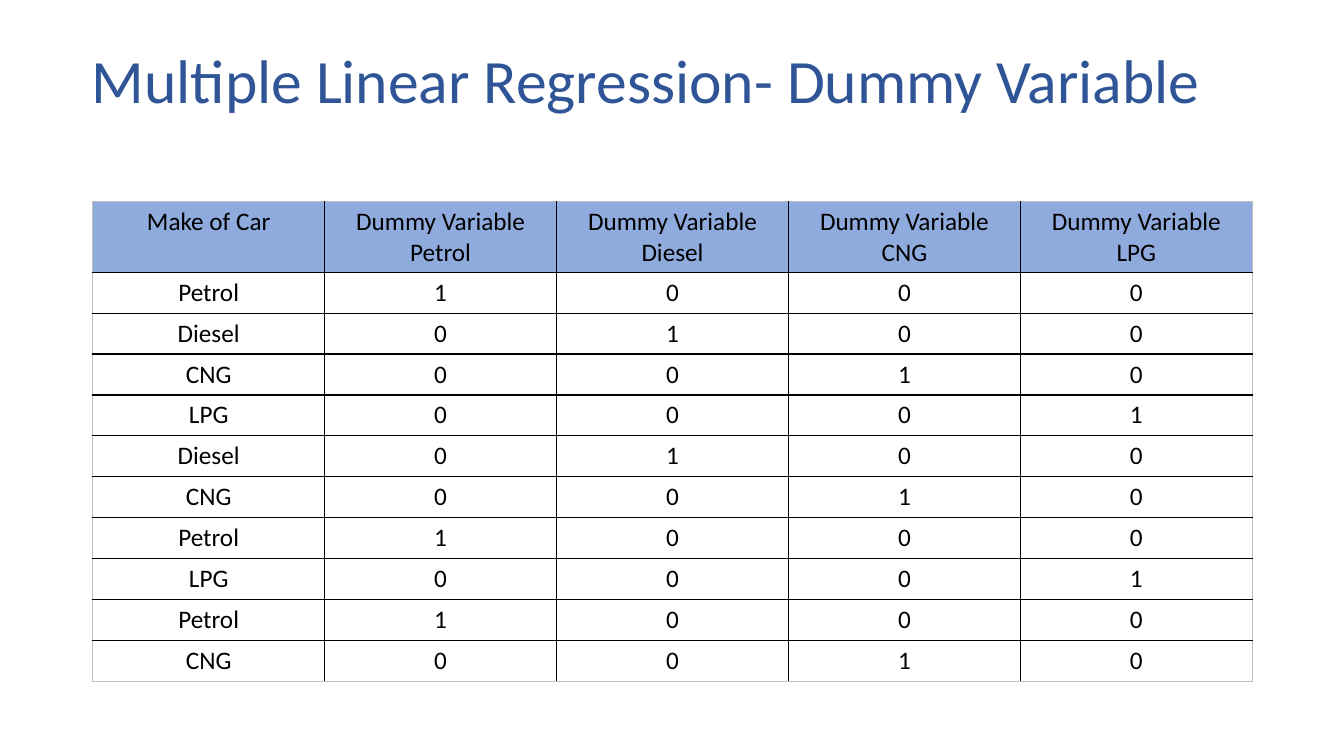
from dataclasses import dataclass

from lxml.etree import SubElement
from pptx import Presentation
from pptx.dml.color import RGBColor as RGB
from pptx.enum.text import MSO_ANCHOR as ANCHOR, PP_ALIGN as ALIGN
from pptx.oxml.ns import qn
from pptx.util import Inches, Pt


@dataclass(frozen=True)
class Theme:
    font: str = "Calibri"
    title: str = "2F5597"
    text: str = "000000"
    header: str = "8FAADC"
    grid: str = "000000"
    frame: str = "BFBFBF"
    title_size: int = 44
    cell_size: int = 18


theme = Theme()
FUELS = ["Petrol", "Diesel", "CNG", "LPG"]
CARS = ["Petrol", "Diesel", "CNG", "LPG", "Diesel",
        "CNG", "Petrol", "LPG", "Petrol", "CNG"]


def write(p, text, size, color):
    r = p.add_run()
    r.text = text
    for name, value in {"name": theme.font, "size": Pt(size)}.items():
        setattr(r.font, name, value)
    r.font.color.rgb = RGB.from_string(color)


def add_border(cell, side, color, width):
    """Draw one cell edge; call before filling, as lines precede the fill."""
    ln = SubElement(cell._tc.get_or_add_tcPr(), qn(f"a:{side}"), w=str(Pt(width)))
    fill = SubElement(ln, qn("a:solidFill"))
    SubElement(fill, qn("a:srgbClr"), val=color)


prs = Presentation()
prs.slide_width, prs.slide_height = Inches(13.33), Inches(7.5)
s = prs.slides.add_slide(prs.slide_layouts[6])

# Title
tf = s.shapes.add_textbox(Inches(0.81), Inches(0.4), Inches(11.61), Inches(0.85)).text_frame
for name, value in {"word_wrap": True, "vertical_anchor": ANCHOR.MIDDLE}.items():
    setattr(tf, name, value)
p = tf.paragraphs[0]
p.line_spacing = 0.9
write(p, "Multiple Linear Regression- Dummy Variable", theme.title_size, theme.title)

# Each car has a 1 in the column of its own fuel
rows = [["Make of Car"] + [f"Dummy Variable {fuel}" for fuel in FUELS]]
rows += [[car] + [str(int(car == fuel)) for fuel in FUELS] for car in CARS]
last_row, last_col = len(rows) - 1, len(FUELS)

table = s.shapes.add_table(len(rows), last_col + 1, Inches(0.92), Inches(2),
                           Inches(11.5), Inches(4.76)).table
table.horz_banding = False
header_height = Inches(0.7)
body_height = (Inches(4.76) - header_height) // len(CARS)
for i, row in enumerate(rows):
    table.rows[i].height = body_height if i else header_height
    for j, text in enumerate(row):
        cell = table.cell(i, j)
        outer = {"lnL": j == 0, "lnR": j == last_col, "lnT": i == 0, "lnB": i == last_row}
        for side, is_outer in outer.items():
            add_border(cell, side, *((theme.frame, 0.5) if is_outer else (theme.grid, 1)))
        if i == 0:
            cell.fill.solid()
            cell.fill.fore_color.rgb = RGB.from_string(theme.header)
        else:
            cell.fill.background()
        p = cell.text_frame.paragraphs[0]
        p.alignment = ALIGN.CENTER
        write(p, text, theme.cell_size, theme.text)
        p.runs[0].font.bold = False

prs.save("out.pptx")
